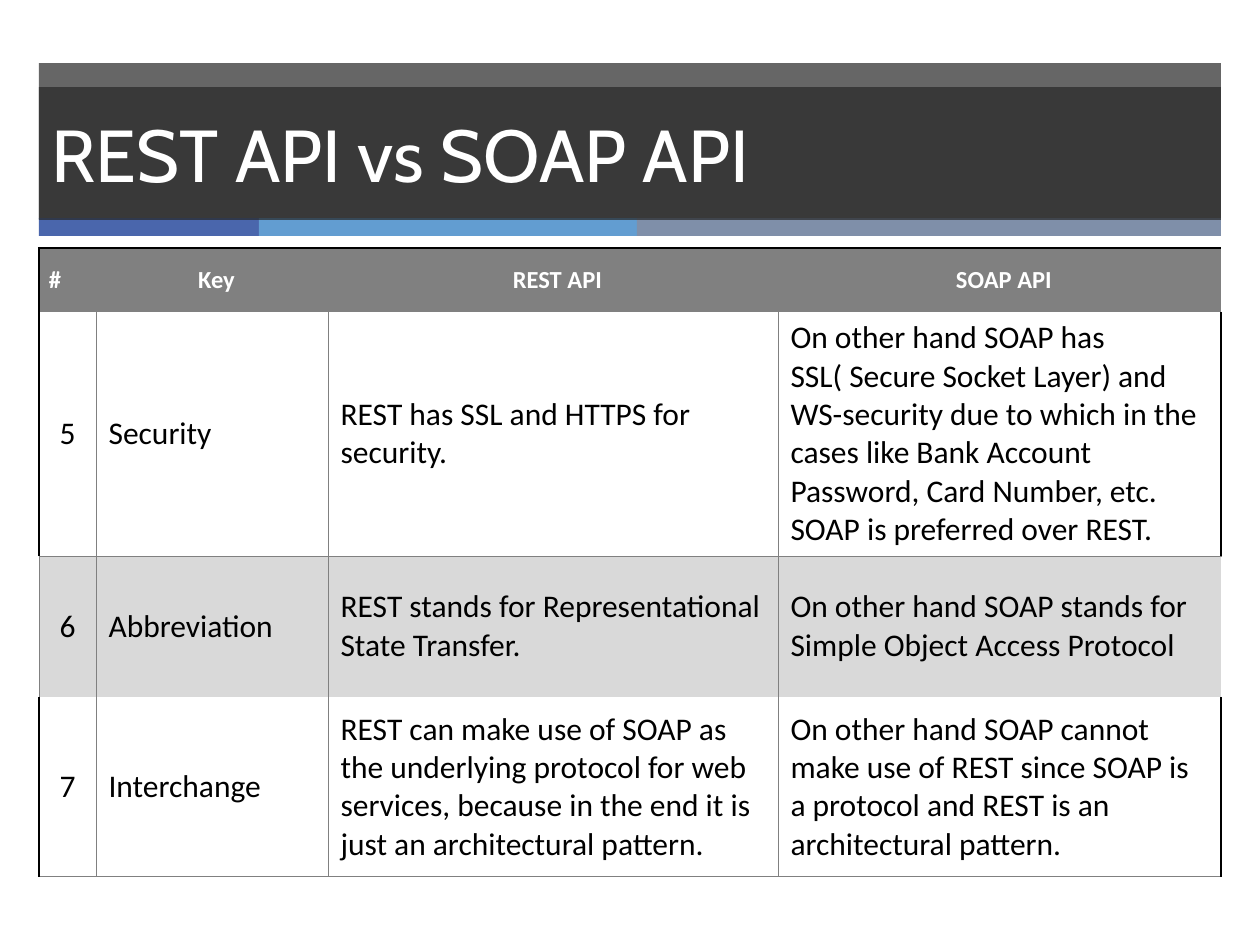
"""Builds the slide that compares REST API with SOAP API."""
from dataclasses import dataclass

from lxml import etree
from pptx import Presentation
from pptx.dml.color import RGBColor
from pptx.enum.shapes import MSO_SHAPE
from pptx.enum.text import MSO_ANCHOR, PP_ALIGN
from pptx.oxml.ns import qn
from pptx.util import Pt

RECTANGLE = MSO_SHAPE.RECTANGLE
MIDDLE = MSO_ANCHOR.MIDDLE
LEFT, CENTER = PP_ALIGN.LEFT, PP_ALIGN.CENTER
EMU_PER_PX = 914400 / 126
PLAIN_TABLE = "{2D5ABB26-0587-4C30-8999-92F81FD0307C}"


@dataclass(frozen=True)
class Theme:
    title_font: str = "Cabin"
    table_font: str = "Calibri"
    title_size: int = 42
    header_size: int = 14
    body_size: int = 18
    banner: str = "262626"
    banner_opacity: int = 70
    stripes: tuple = ("4A66AC", "629DD1", "7F8FA9")
    header: str = "808080"
    band: str = "D9D9D9"
    light: str = "FFFFFF"
    dark: str = "000000"
    thin: tuple = ("808080", 0.5)
    thick: tuple = ("000000", 1.5)


def px(length):
    return round(length * EMU_PER_PX)


class SlideBuilder:
    def __init__(self, slide, theme):
        self.slide = slide
        self.theme = theme

    def bar(self, left, top, width, height, color, opacity=100):
        bar = self.slide.shapes.add_shape(RECTANGLE, px(left), px(top), px(width), px(height))
        bar.shadow.inherit = False
        bar.line.fill.background()
        bar.fill.solid()
        bar.fill.fore_color.rgb = RGBColor.from_string(color)
        if opacity < 100:
            tint = bar.fill._xPr.find(".//" + qn("a:srgbClr"))
            etree.SubElement(tint, qn("a:alpha"), val=str(opacity * 1000))
        return bar

    def text(self, frame, words, font, size, color, align=LEFT, bold=False):
        frame.word_wrap = True
        paragraph = frame.paragraphs[0]
        paragraph.alignment = align
        run = paragraph.add_run()
        run.text = words
        run.font.name = font
        run.font.size = Pt(size)
        run.font.bold = bold
        run.font.color.rgb = RGBColor.from_string(color)

    def title(self, words, left, top, width, height):
        theme = self.theme
        banner = self.bar(left, top, width, height, theme.banner, theme.banner_opacity)
        banner.text_frame.vertical_anchor = MIDDLE
        self.text(banner.text_frame, words, theme.title_font, theme.title_size, theme.light)

    def borders(self, cell, sides):
        properties = cell._tc.get_or_add_tcPr()
        for position, side in enumerate("LRTB"):
            line = etree.Element(qn("a:ln" + side))
            if sides.get(side):
                color, width = sides[side]
                line.set("w", str(Pt(width)))
                fill = etree.SubElement(line, qn("a:solidFill"))
                etree.SubElement(fill, qn("a:srgbClr"), val=color)
            else:
                etree.SubElement(line, qn("a:noFill"))
            properties.insert(position, line)

    def cell(self, cell, words, fill, sides, align, header):
        theme = self.theme
        cell.vertical_anchor = MIDDLE
        if header:
            cell.margin_left, cell.margin_right = px(10), px(1)
            cell.margin_top = cell.margin_bottom = px(8)
        if fill:
            cell.fill.solid()
            cell.fill.fore_color.rgb = RGBColor.from_string(fill)
        else:
            cell.fill.background()
        size, color = (theme.header_size, theme.light) if header else (theme.body_size, theme.dark)
        self.text(cell.text_frame, words, theme.table_font, size, color, align, header)
        self.borders(cell, sides)

    def table(self, rows, left, top, widths, heights):
        theme = self.theme
        frame = self.slide.shapes.add_table(
            len(rows), len(widths), px(left), px(top), px(sum(widths)), px(sum(heights)))
        table = frame.table
        table.first_row = table.horz_banding = False
        next(frame._element.iter(qn("a:tableStyleId"))).text = PLAIN_TABLE
        for column, width in zip(table.columns, widths):
            column.width = px(width)
        last = len(widths) - 1
        for r, (row, height) in enumerate(zip(rows, heights)):
            table.rows[r].height = px(height)
            header, banded = r == 0, r == 2
            fill = theme.header if header else theme.band if banded else None
            for c, words in enumerate(row):
                if header:
                    sides = {"T": theme.thick, "L": None if c else theme.thick}
                else:
                    edge = theme.thin if banded else theme.thick
                    outer = None if banded else theme.thick
                    sides = {"L": theme.thin if c else edge,
                             "R": outer if c == last else theme.thin,
                             "T" if banded else "B": theme.thin}
                align = CENTER if header == (c > 0) else LEFT
                self.cell(table.cell(r, c), words, fill, sides, align, header)


def main():
    presentation = Presentation()
    presentation.slide_width, presentation.slide_height = px(1260), px(945)
    theme = Theme()
    builder = SlideBuilder(presentation.slides.add_slide(presentation.slide_layouts[6]), theme)
    left, width = 39, 1182

    builder.bar(left, 63, width, 156, theme.banner, theme.banner_opacity)
    stripe_left = left
    for color, stripe_width in zip(theme.stripes, (220, 378, 584)):
        builder.bar(stripe_left, 218, stripe_width, 18, color)
        stripe_left += stripe_width
    builder.title("REST API vs SOAP API", left, 87, width, 133)

    comparison = [
        ("#", "Key", "REST API", "SOAP API"),
        ("5", "Security", "REST has SSL and HTTPS for security.",
         "On other hand SOAP has SSL( Secure Socket Layer) and WS-security due to which in the "
         "cases like Bank Account Password, Card Number, etc. SOAP is preferred over REST."),
        ("6", "Abbreviation", "REST stands for Representational State Transfer.",
         "On other hand SOAP stands for Simple Object Access Protocol"),
        ("7", "Interchange",
         "REST can make use of SOAP as the underlying protocol for web services, because in the "
         "end it is just an architectural pattern.",
         "On other hand SOAP cannot make use of REST since SOAP is a protocol and REST is an "
         "architectural pattern."),
    ]
    builder.table(comparison, left, 248, (57, 232, 450, 443), (64, 244, 141, 180))
    presentation.save("out.pptx")


if __name__ == "__main__":
    main()
